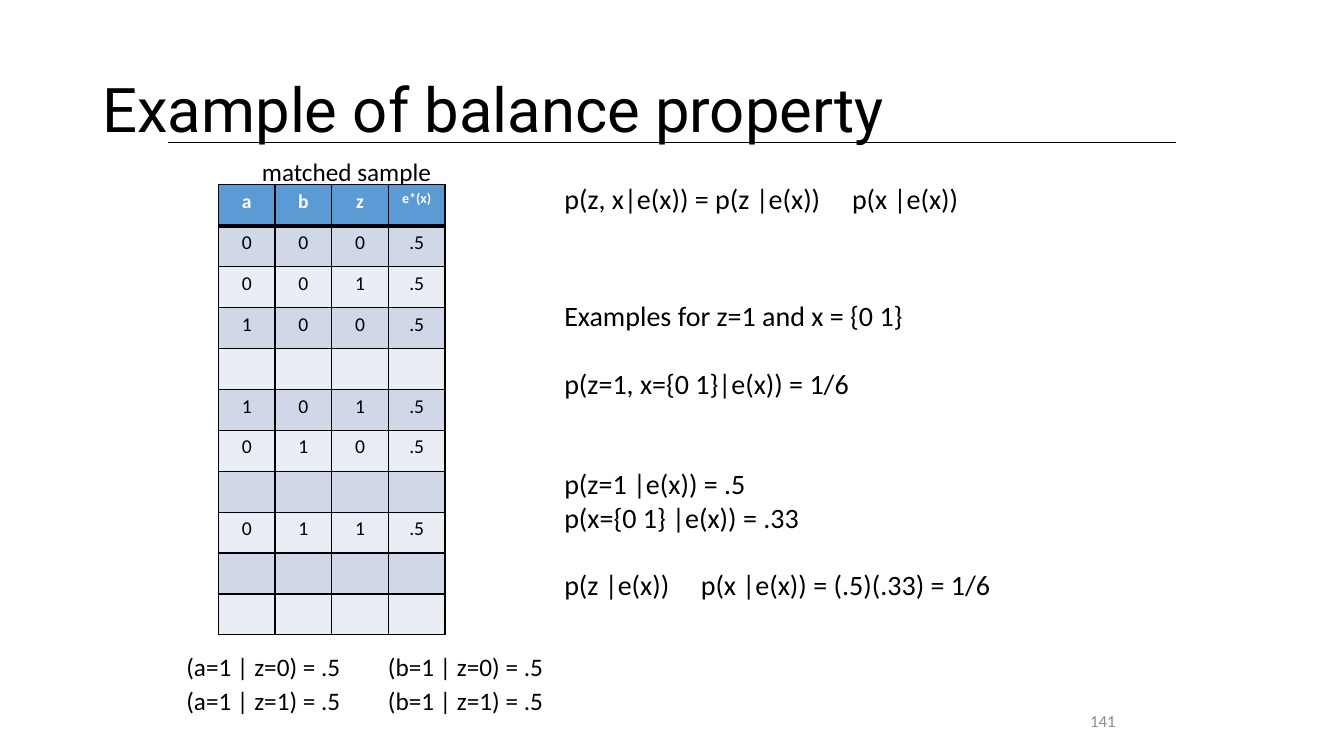
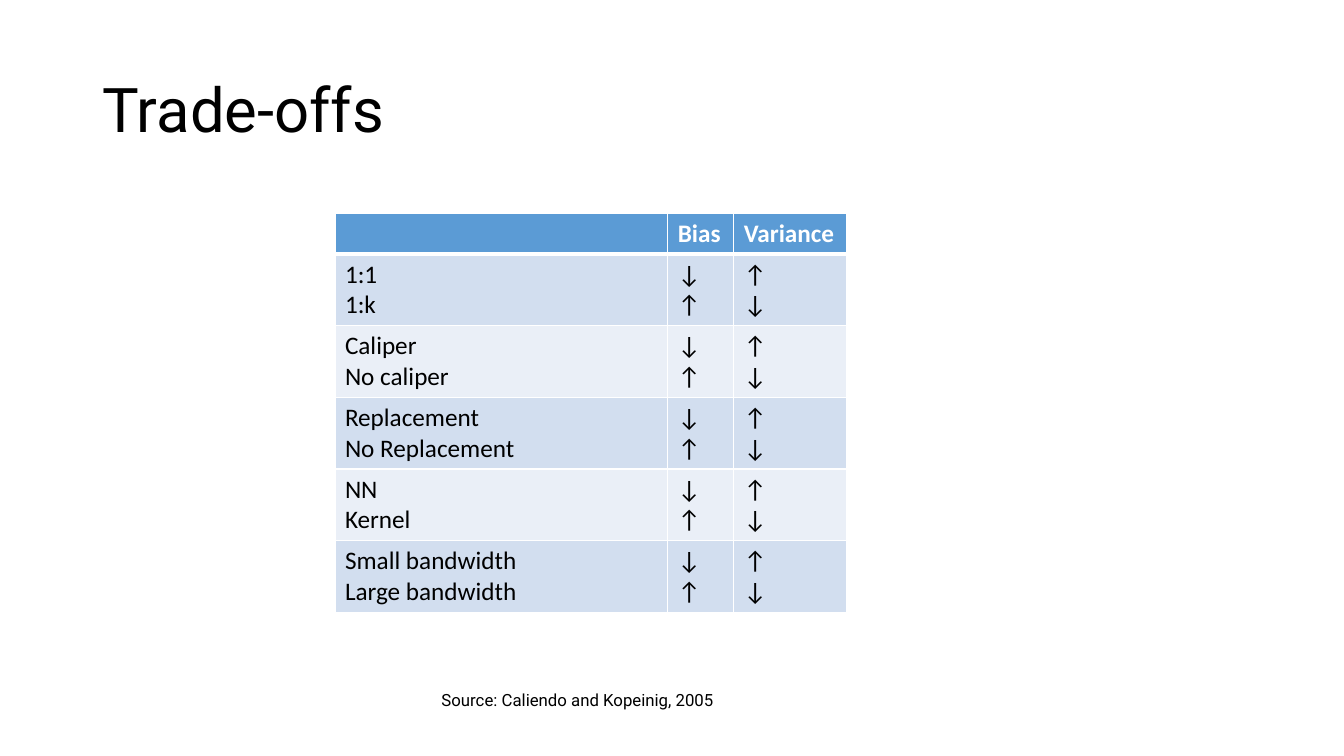
from lxml import etree
from pptx import Presentation
from pptx.dml.color import RGBColor
from pptx.enum.shapes import MSO_CONNECTOR
from pptx.enum.text import MSO_ANCHOR, MSO_AUTO_SIZE, PP_ALIGN
from pptx.oxml.ns import qn
from pptx.util import Pt

LEFT, CENTER, RIGHT = PP_ALIGN.LEFT, PP_ALIGN.CENTER, PP_ALIGN.RIGHT
TOP, MIDDLE = MSO_ANCHOR.TOP, MSO_ANCHOR.MIDDLE
STRAIGHT = MSO_CONNECTOR.STRAIGHT
NO_AUTOFIT = MSO_AUTO_SIZE.NONE

BLACK = RGBColor(0x00, 0x00, 0x00)
WHITE = RGBColor(0xFF, 0xFF, 0xFF)
GRAY = RGBColor(0x8C, 0x8C, 0x8C)
HEADER_BLUE = RGBColor(0x5B, 0x9B, 0xD5)
SAMPLE_BANDS = (RGBColor(0xD0, 0xD8, 0xE8), RGBColor(0xE9, 0xED, 0xF4))
TRADE_BANDS = (RGBColor(0xD2, 0xDE, 0xEF), RGBColor(0xEA, 0xEF, 0xF7))

BODY_FONT, TITLE_FONT = "Calibri", "Roboto"
TITLE_ONLY = 5
LINE_GAP = 24  # points in one line of formula text


def px(n):
    return n * 9525


# Text
def add_tab_stop(p, position):
    tabs = etree.SubElement(p._p.get_or_add_pPr(), qn("a:tabLst"))
    etree.SubElement(tabs, qn("a:tab"), pos=str(px(position)), algn="l")


def write(tf, text, size=18, font=BODY_FONT, color=BLACK, bold=False,
          align=LEFT, spacing=None, gaps=None, tabs=None):
    """Write one paragraph per line; gaps and tabs are keyed by line index."""
    for i, line in enumerate(text.split("\n")):
        p = tf.paragraphs[0] if i == 0 else tf.add_paragraph()
        if tabs and i in tabs:
            add_tab_stop(p, tabs[i])
        p.alignment = align
        if spacing:
            p.line_spacing = spacing
        if gaps and i in gaps:
            p.space_before = Pt(gaps[i])
        if line:
            r = p.add_run()
            r.text = line
            r.font.size = Pt(size)
            r.font.name = font
            r.font.bold = bold
            r.font.color.rgb = color


def add_text(s, x, y, w, h, text, anchor=TOP, **fmt):
    tf = s.shapes.add_textbox(px(x), px(y), px(w), px(h)).text_frame
    tf.word_wrap = True
    tf.vertical_anchor = anchor
    write(tf, text, **fmt)


def add_titled_slide(prs, title):
    s = prs.slides.add_slide(prs.slide_layouts[TITLE_ONLY])
    sp = s.shapes.title
    sp.left, sp.top, sp.width, sp.height = px(88), px(38), px(1104), px(139)
    tf = sp.text_frame
    tf.auto_size = NO_AUTOFIT
    tf.vertical_anchor = MIDDLE
    write(tf, title, size=44, font=TITLE_FONT, spacing=0.9)
    return s


# Lines and tables
def add_rule(s, x1, x2, y):
    line = s.shapes.add_connector(STRAIGHT, px(x1), px(y), px(x2), px(y))
    line.line.color.rgb = BLACK
    line.line.width = Pt(1)
    etree.SubElement(line._element.spPr, qn("a:effectLst"))


def set_borders(cell, color, widths):
    tc_pr = cell._tc.get_or_add_tcPr()
    for side, width in widths.items():
        ln = etree.SubElement(tc_pr, qn("a:ln" + side), w=str(Pt(width)))
        fill = etree.SubElement(ln, qn("a:solidFill"))
        etree.SubElement(fill, qn("a:srgbClr"), val=str(color))


def add_grid(s, x, y, col_widths, row_heights, rows, bands, border,
             size, align=LEFT, small=()):
    """Draw a table with a blue header, banded rows and a thick header rule."""
    table = s.shapes.add_table(len(rows), len(col_widths), px(x), px(y),
                               px(sum(col_widths)), px(sum(row_heights))).table
    for col, width in zip(table.columns, col_widths):
        col.width = px(width)
    for row, height in zip(table.rows, row_heights):
        row.height = px(height)
    for i, row in enumerate(rows):
        header = i == 0
        for j, text in enumerate(row):
            cell = table.cell(i, j)
            set_borders(cell, border, {"L": 1, "R": 1,
                                       "T": 3 if i == 1 else 1,
                                       "B": 3 if header else 1})
            cell.fill.solid()
            cell.fill.fore_color.rgb = HEADER_BLUE if header else bands[(i - 1) % 2]
            write(cell.text_frame, text, size=10 if text in small else size,
                  color=WHITE if header else BLACK, bold=header, align=align)


# Slides
def build_balance(prs):
    s = add_titled_slide(prs, "Example of balance property")

    # Matched sample table, with empty rows for unmatched units
    units = ("000", "001", "100", None, "101", "010", None, "011", None, None)
    rows = [("a", "b", "z", "e*(x)")]
    rows += [(*unit, ".5") if unit else ("",) * 4 for unit in units]
    add_grid(s, 208, 176, [54] * 4, [39] * len(rows), rows, SAMPLE_BANDS,
             BLACK, 14, align=CENTER, small=("e*(x)",))
    add_text(s, 240, 144, 190, 38, "matched sample")

    # Conditional means below the table
    for i, var in enumerate("ab"):
        for z in range(2):
            add_text(s, 168 + 192 * i, 616 + 32 * z, 180, 38,
                     f"({var}=1 | z={z}) = .5")

    add_rule(s, 160, 1120, 136)

    # Formulas
    add_text(s, 528, 168, 420, 42, "p(z, x|e(x)) = p(z |e(x))\tp(x |e(x))",
             size=20, tabs={0: 274})
    formulas = ("Examples for z=1 and x = {0 1}\n"
                "p(z=1, x={0 1}|e(x)) = 1/6\n"
                "p(z=1 |e(x)) = .5\n"
                "p(x={0 1} |e(x)) = .33\n"
                "p(z |e(x))\tp(x |e(x)) = (.5)(.33) = 1/6")
    add_text(s, 528, 280, 450, 300, formulas, size=20, tabs={4: 130},
             gaps={1: LINE_GAP, 2: 2 * LINE_GAP, 4: LINE_GAP})

    # Slide number
    add_text(s, 848, 667, 224, 38, "141", anchor=MIDDLE, size=12,
             color=GRAY, align=RIGHT)


def build_tradeoffs(prs):
    s = add_titled_slide(prs, "Trade-offs")
    choices = ("1:1\n1:k", "Caliper\nNo caliper", "Replacement\nNo Replacement",
               "NN\nKernel", "Small bandwidth\nLarge bandwidth")
    rows = [("", "Bias", "Variance")]
    rows += [(choice, "↓\n↑", "↑\n↓") for choice in choices]
    add_grid(s, 319, 203, [317, 63, 107], [39] + [67] * len(choices), rows,
             TRADE_BANDS, WHITE, 18)
    add_text(s, 411, 652, 683, 29, "Source: Caliendo and Kopeinig, 2005",
             size=12, font=TITLE_FONT)


def main():
    prs = Presentation()
    prs.slide_width, prs.slide_height = px(1280), px(720)
    build_balance(prs)
    build_tradeoffs(prs)
    prs.save("out.pptx")


if __name__ == "__main__":
    main()
